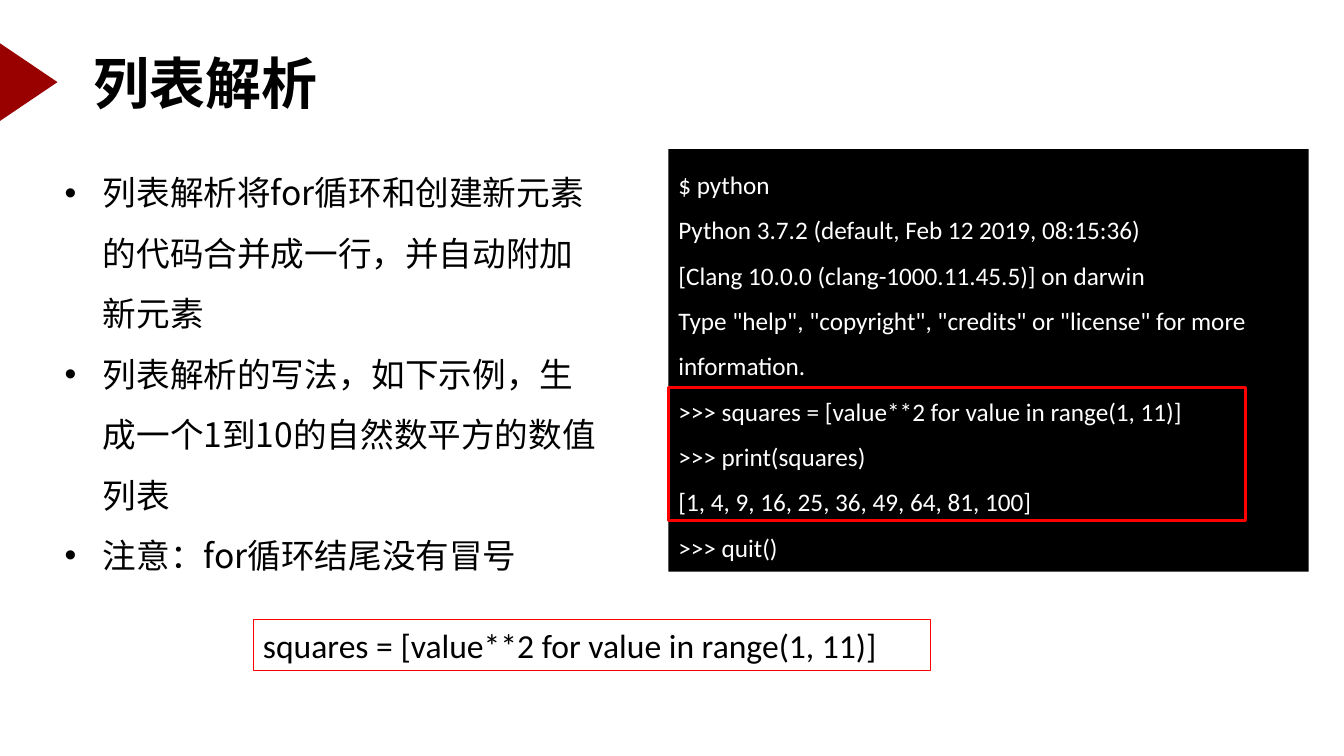
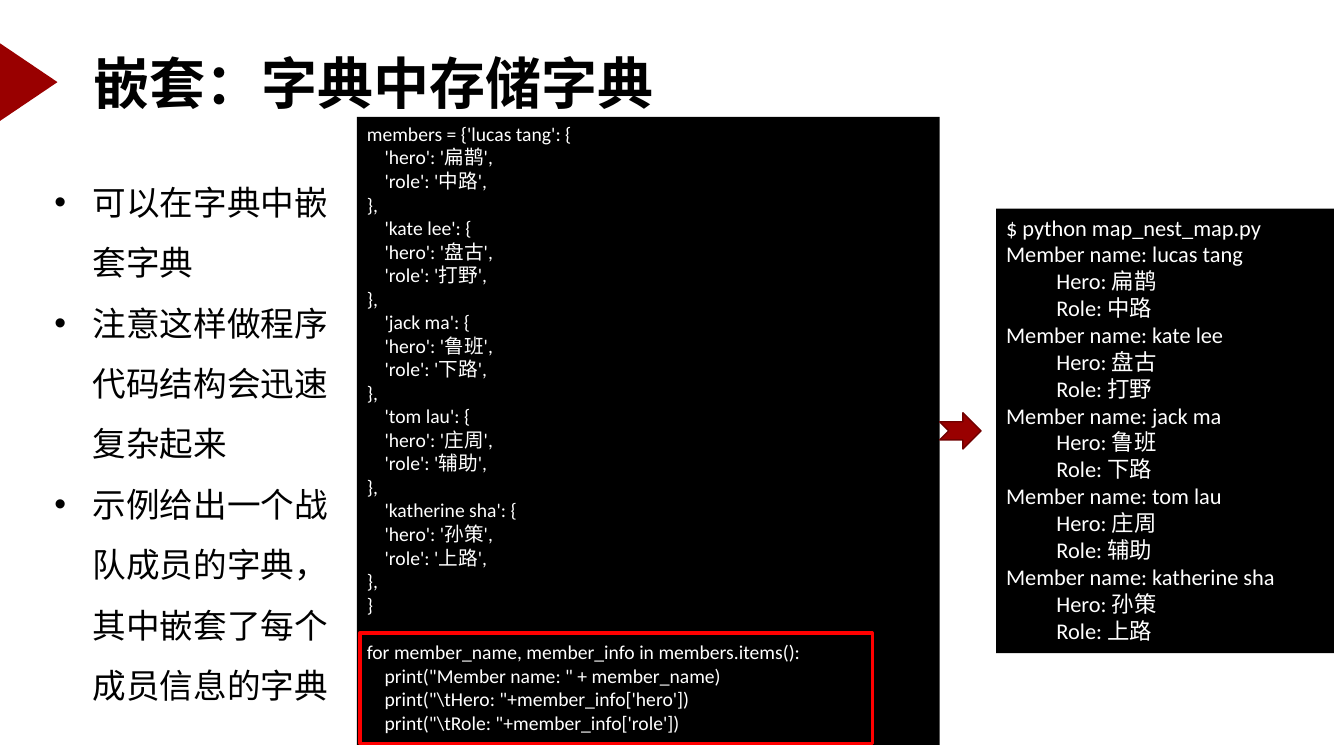
import dataclasses

import lxml.etree
import pptx
import pptx.dml.color
import pptx.enum.shapes
import pptx.enum.text
import pptx.oxml.ns
import pptx.util

BLACK = pptx.dml.color.RGBColor(0x00, 0x00, 0x00)
WHITE = pptx.dml.color.RGBColor(0xFF, 0xFF, 0xFF)
RED = pptx.dml.color.RGBColor(0xFF, 0x00, 0x00)
MAROON = pptx.dml.color.RGBColor(0x99, 0x00, 0x00)
DARK_MAROON = pptx.dml.color.RGBColor(0x71, 0x00, 0x00)

TITLE_FONT = "Noto Sans CJK JP"
BODY_FONT = "Noto Sans CJK SC"
CODE_FONT = "Calibri"

SHAPE = pptx.enum.shapes.MSO_SHAPE
CELL = 0.1
COLUMNS, ROWS = 133.3, 75
TITLE_ONLY = 5
TAB_STOP = 0.5
BULLET_INDENT = 0.38


@dataclasses.dataclass
class Box:
    column: float
    row: float
    columns: float
    rows: float

    def offset(self, column, row, columns, rows):
        return Box(self.column + column, self.row + row, columns, rows)

    def beside(self, columns, rows, gap=0):
        return self.offset(self.columns + gap, (self.rows - rows) / 2, columns, rows)

    def lengths(self):
        return [pptx.util.Inches(cells * CELL)
                for cells in (self.column, self.row, self.columns, self.rows)]


def add_element(parent, tag, **attributes):
    return lxml.etree.SubElement(parent, pptx.oxml.ns.qn(tag), attributes)


def write(frame, lines, size, font, color, east_asian=BODY_FONT, bold=False,
          spacing=1.0, bullets=False, tabs=False, wrap=True, gap_line=None,
          insets=(0.1, 0.05)):
    frame.word_wrap = wrap
    frame.auto_size = pptx.enum.text.MSO_AUTO_SIZE.NONE
    frame.vertical_anchor = pptx.enum.text.MSO_ANCHOR.TOP
    frame.margin_left = frame.margin_right = pptx.util.Inches(insets[0])
    frame.margin_top = frame.margin_bottom = pptx.util.Inches(insets[1])
    for index, line in enumerate(lines):
        para = frame.paragraphs[0] if index == 0 else frame.add_paragraph()
        properties = para._p.get_or_add_pPr()
        if bullets:
            indent = pptx.util.Inches(BULLET_INDENT)
            properties.set("marL", str(indent))
            properties.set("indent", str(-indent))
            add_element(properties, "a:buFont", typeface="Arial")
            add_element(properties, "a:buChar", char="•")
        if tabs:
            stops = add_element(properties, "a:tabLst")
            add_element(stops, "a:tab", pos=str(pptx.util.Inches(TAB_STOP)), algn="l")
        para.alignment = pptx.enum.text.PP_ALIGN.LEFT
        para.line_spacing = spacing
        para.space_before = pptx.util.Pt(size * 1.22 if line == gap_line else 0)
        span = para.add_run()
        span.text = line
        span.font.size = pptx.util.Pt(size)
        span.font.bold = bold
        span.font.color.rgb = color
        span.font.name = font
        add_element(span._r.get_or_add_rPr(), "a:ea", typeface=east_asian)


def add_figure(page, kind, box, fill=None, line=None, line_width=1):
    figure = page.shapes.add_shape(kind, *box.lengths())
    figure.shadow.inherit = False
    if fill is None:
        figure.fill.background()
    else:
        figure.fill.solid()
        figure.fill.fore_color.rgb = fill
    if line is None:
        figure.line.fill.background()
    else:
        figure.line.color.rgb = line
        figure.line.width = pptx.util.Pt(line_width)
    return figure


def add_page(deck, title, title_columns):
    page = deck.slides.add_slide(deck.slide_layouts[TITLE_ONLY])
    heading = page.shapes.title
    box = Box(8.3, 4.3, title_columns, 7.7)
    heading.left, heading.top, heading.width, heading.height = box.lengths()
    write(heading.text_frame, [title], size=40, font=TITLE_FONT, color=BLACK,
          east_asian=TITLE_FONT, bold=True, wrap=False)
    marker = add_figure(page, SHAPE.ISOSCELES_TRIANGLE, Box(-1, 5.3, 7.7, 5.7), fill=MAROON)
    marker.rotation = 90
    return page


def add_bullets(page, box, lines):
    body = page.shapes.add_textbox(*box.lengths())
    write(body.text_frame, lines, size=24, font=BODY_FONT, color=BLACK,
          spacing=1.5, bullets=True, insets=(0.07, 0.03))


def add_code(page, box, lines, size, **style):
    panel = add_figure(page, SHAPE.RECTANGLE, box, fill=BLACK)
    write(panel.text_frame, lines, size=size, font=CODE_FONT, color=WHITE, **style)


def add_highlight(page, box):
    add_figure(page, SHAPE.RECTANGLE, box, line=RED, line_width=2.25)


def build_list_page(deck):
    page = add_page(deck, "列表解析", 24.2)
    example = "squares = [value**2 for value in range(1, 11)]"
    panel = Box(66.3, 14.8, 63.5, 41.9)
    add_code(page, panel, [
        "$ python",
        "Python 3.7.2 (default, Feb 12 2019, 08:15:36)",
        "[Clang 10.0.0 (clang-1000.11.45.5)] on darwin",
        'Type "help", "copyright", "credits" or "license" for more information.',
        ">>> " + example,
        ">>> print(squares)",
        "[1, 4, 9, 16, 25, 36, 49, 64, 81, 100]",
        ">>> quit()",
    ], size=18, spacing=1.5)
    add_bullets(page, Box(5.7, 14.8, 54.1, 43.1), [
        "列表解析将for循环和创建新元素的代码合并成一行，并自动附加新元素",
        "列表解析的写法，如下示例，生成一个1到10的自然数平方的数值列表",
        "注意：for循环结尾没有冒号",
    ])
    add_highlight(page, panel.offset(0, 23.6, 57.2, 13.2))
    formula = add_figure(page, SHAPE.RECTANGLE, Box(25.1, 61.5, 67.2, 5), line=RED, line_width=0.75)
    write(formula.text_frame, [example], size=24, font=CODE_FONT, color=BLACK)


def build_dictionary_page(deck):
    members = [
        ("lucas tang", "扁鹊", "中路"),
        ("kate lee", "盘古", "打野"),
        ("jack ma", "鲁班", "下路"),
        ("tom lau", "庄周", "辅助"),
        ("katherine sha", "孙策", "上路"),
    ]
    source = []
    result = ["$ python map_nest_map.py"]
    for name, hero, role in members:
        opening = "    " if source else "members = {"
        source += [f"{opening}'{name}': {{", f"    'hero': '{hero}',", f"    'role': '{role}',", "},"]
        result += [f"Member name: {name}", f"\tHero: {hero}", f"\tRole: {role}"]
    loop = "for member_name, member_info in members.items():"
    source += [
        "}",
        loop,
        '    print("Member name: " + member_name)',
        '    print("\\tHero: "+member_info[\'hero\'])',
        '    print("\\tRole: "+member_info[\'role\'])',
    ]

    page = add_page(deck, "嵌套：字典中存储字典", 57.6)
    panel = Box(35.4, 11.6, 57.8, 62.3)
    add_code(page, panel, source, size=14, gap_line=loop)
    add_bullets(page, Box(4.7, 15.7, 29.7, 55.2), [
        "可以在字典中嵌套字典",
        "注意这样做程序代码结构会迅速复杂起来",
        "示例给出一个战队成员的字典，其中嵌套了每个成员信息的字典",
    ])
    add_figure(page, SHAPE.NOTCHED_RIGHT_ARROW, panel.beside(4.1, 3.6),
               fill=MAROON, line=DARK_MAROON)
    add_code(page, panel.beside(33.5, 44.1, gap=5.6), result, size=16, tabs=True)
    add_highlight(page, panel.offset(0.3, 51.2, 50.8, 11))


def main():
    deck = pptx.Presentation()
    deck.slide_width = pptx.util.Inches(COLUMNS * CELL)
    deck.slide_height = pptx.util.Inches(ROWS * CELL)
    build_list_page(deck)
    build_dictionary_page(deck)
    deck.save("out.pptx")


if __name__ == "__main__":
    main()
